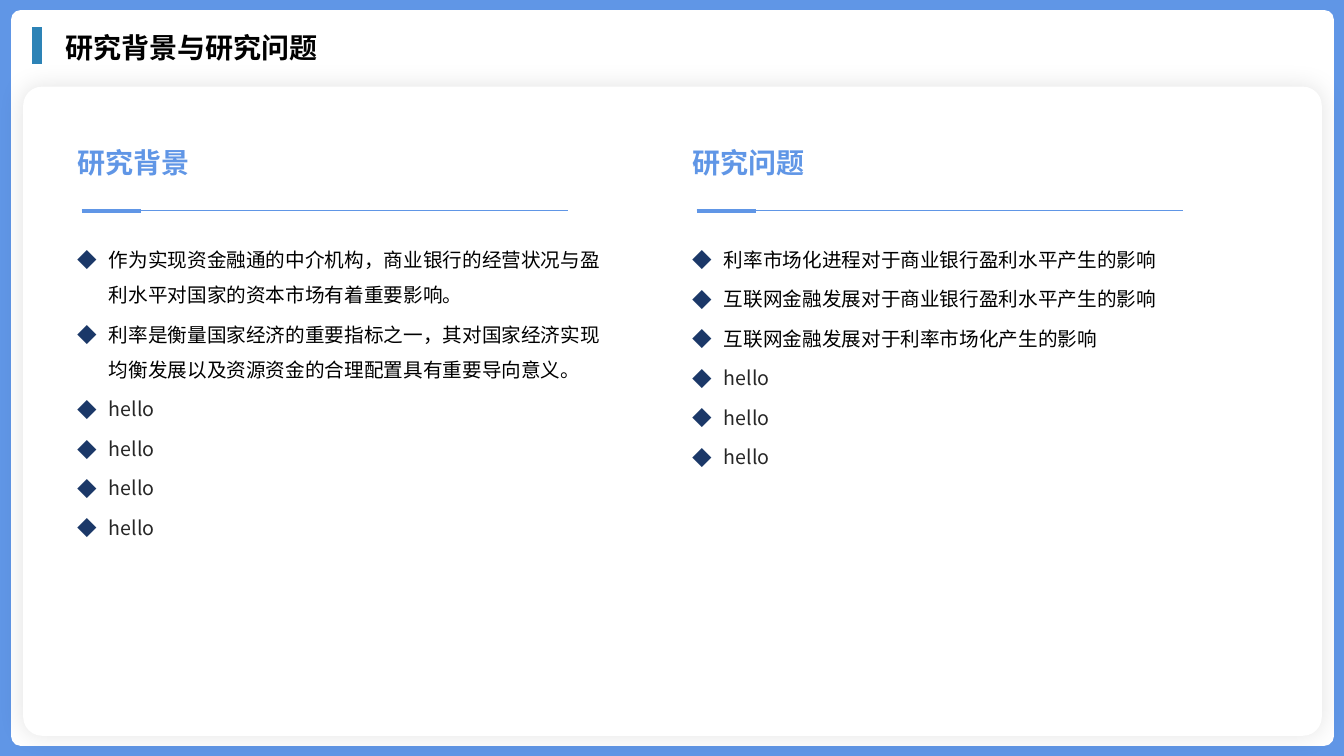
from lxml import etree
from pptx import Presentation
from pptx import util as u
from pptx.dml.color import RGBColor
from pptx.enum import shapes, text
from pptx.oxml import ns

TITLE = "研究背景与研究问题"
COLUMNS = [
    ("研究背景", [
        "作为实现资金融通的中介机构，商业银行的经营状况与盈利水平对国家的资本市场有着重要影响。",
        "利率是衡量国家经济的重要指标之一，其对国家经济实现均衡发展以及资源资金的合理配置具有重要导向意义。",
        "hello", "hello", "hello", "hello",
    ]),
    ("研究问题", [
        "利率市场化进程对于商业银行盈利水平产生的影响",
        "互联网金融发展对于商业银行盈利水平产生的影响",
        "互联网金融发展对于利率市场化产生的影响",
        "hello", "hello", "hello",
    ]),
]
FONT = "Noto Sans CJK SC"
BLUE, ACCENT, BULLET = "6096E6", "2D83B6", "1B3868"
BLACK, DARK, WHITE = "000000", "262626", "FFFFFF"
WIDTH, HEIGHT = 13.33, 7.5
COLUMN_LEFT, COLUMN_STEP = 0.67, 6.1
RULE_INDENT, RULE_TOP = 0.14, 2.09
RULES = [(4.82, 1), (0.59, 3)]  # length, weight
PANELS = [  # left, top, width, height, corner, fill, shadowed
    (0, 0, WIDTH, HEIGHT, 0, BLUE, False),
    (0.11, 0.1, 13.12, 7.3, 0.013, WHITE, False),
    (0.23, 0.86, 12.88, 6.44, 0.029, WHITE, True),
]


def color(value):
    return RGBColor.from_string(value)


def add_xml(parent, tag, **attributes):
    return etree.SubElement(parent, ns.qn(tag), attributes)


def add_panel(slide, left, top, width, height, corner, fill, shadowed):
    """Add a filled background panel behind the placeholders."""
    kind = shapes.MSO_SHAPE.ROUNDED_RECTANGLE if corner else shapes.MSO_SHAPE.RECTANGLE
    panel = slide.shapes.add_shape(kind, *map(u.Inches, (left, top, width, height)))
    if corner:
        panel.adjustments[0] = corner
    panel.fill.solid()
    panel.fill.fore_color.rgb = color(fill)
    panel.line.fill.background()
    panel.shadow.inherit = False
    if shadowed:
        effects = panel._element.spPr.find(ns.qn("a:effectLst"))
        shadow = add_xml(effects, "a:outerShdw", blurRad=str(u.Pt(18)), dist="0",
                         dir="0", algn="ctr", rotWithShape="0")
        tint = add_xml(shadow, "a:srgbClr", val=BLACK)
        add_xml(tint, "a:alpha", val="11000")
    slide.shapes.title._element.addprevious(panel._element)


def add_rule(slide, left, top, right, bottom, line_color, weight):
    rule = slide.shapes.add_connector(
        shapes.MSO_CONNECTOR.STRAIGHT, *map(u.Inches, (left, top, right, bottom)))
    rule.line.color.rgb = color(line_color)
    rule.line.width = u.Pt(weight)
    add_xml(rule._element.spPr, "a:effectLst")


def format_paragraph(paragraph, size, font_color, bold, bulleted):
    paragraph.alignment = text.PP_ALIGN.LEFT
    paragraph.space_before = u.Pt(0)
    paragraph.space_after = u.Pt(3 if bulleted else 0)
    paragraph.line_spacing = 1.5 if bulleted else 1.0
    properties = paragraph._p.get_or_add_pPr()
    indent = u.Inches(0.31) if bulleted else 0
    properties.set("marL", str(indent))
    properties.set("indent", str(-indent))
    if bulleted:
        add_xml(add_xml(properties, "a:buClr"), "a:srgbClr", val=BULLET)
        add_xml(properties, "a:buFont", typeface=FONT)
        add_xml(properties, "a:buChar", char="◆")
    else:
        add_xml(properties, "a:buNone")
    font = paragraph.font
    font.size, font.bold, font.name = u.Pt(size), bold, FONT
    font.color.rgb = color(font_color)
    add_xml(font._element, "a:ea", typeface=FONT)


def fill_placeholder(shape, box, lines, size, font_color, bold=False, bulleted=False):
    shape.left, shape.top, shape.width, shape.height = map(u.Inches, box)
    frame = shape.text_frame
    frame.text = "\n".join(lines)
    frame.word_wrap = True
    frame.vertical_anchor = text.MSO_ANCHOR.TOP
    frame.auto_size = text.MSO_AUTO_SIZE.SHAPE_TO_FIT_TEXT
    for paragraph in frame.paragraphs:
        shade = DARK if paragraph.text == "hello" else font_color
        format_paragraph(paragraph, size, shade, bold, bulleted)


def main():
    presentation = Presentation()
    presentation.slide_width, presentation.slide_height = u.Inches(WIDTH), u.Inches(HEIGHT)
    comparison = presentation.slide_layouts.get_by_name("Comparison")
    slide = presentation.slides.add_slide(comparison)
    for panel in PANELS:
        add_panel(slide, *panel)

    add_rule(slide, 0.37, 0.27, 0.37, 0.64, ACCENT, 7.25)
    fill_placeholder(slide.shapes.title, (0.55, 0.25, 12.42, 0.44), [TITLE], 20, BLACK, bold=True)

    _, *bodies = slide.placeholders
    for index, (heading, points) in enumerate(COLUMNS):
        left = COLUMN_LEFT + index * COLUMN_STEP
        heading_shape, points_shape = bodies[2 * index:2 * index + 2]
        fill_placeholder(heading_shape, (left, 1.39, 3.55, 0.5), [heading], 20, BLUE, bold=True)
        fill_placeholder(points_shape, (left, 2.29, 5.43, 2.43), points, 14, BLACK, bulleted=True)
        start = left + RULE_INDENT
        for length, weight in RULES:
            add_rule(slide, start, RULE_TOP, start + length, RULE_TOP, BLUE, weight)

    presentation.save("out.pptx")


if __name__ == "__main__":
    main()
